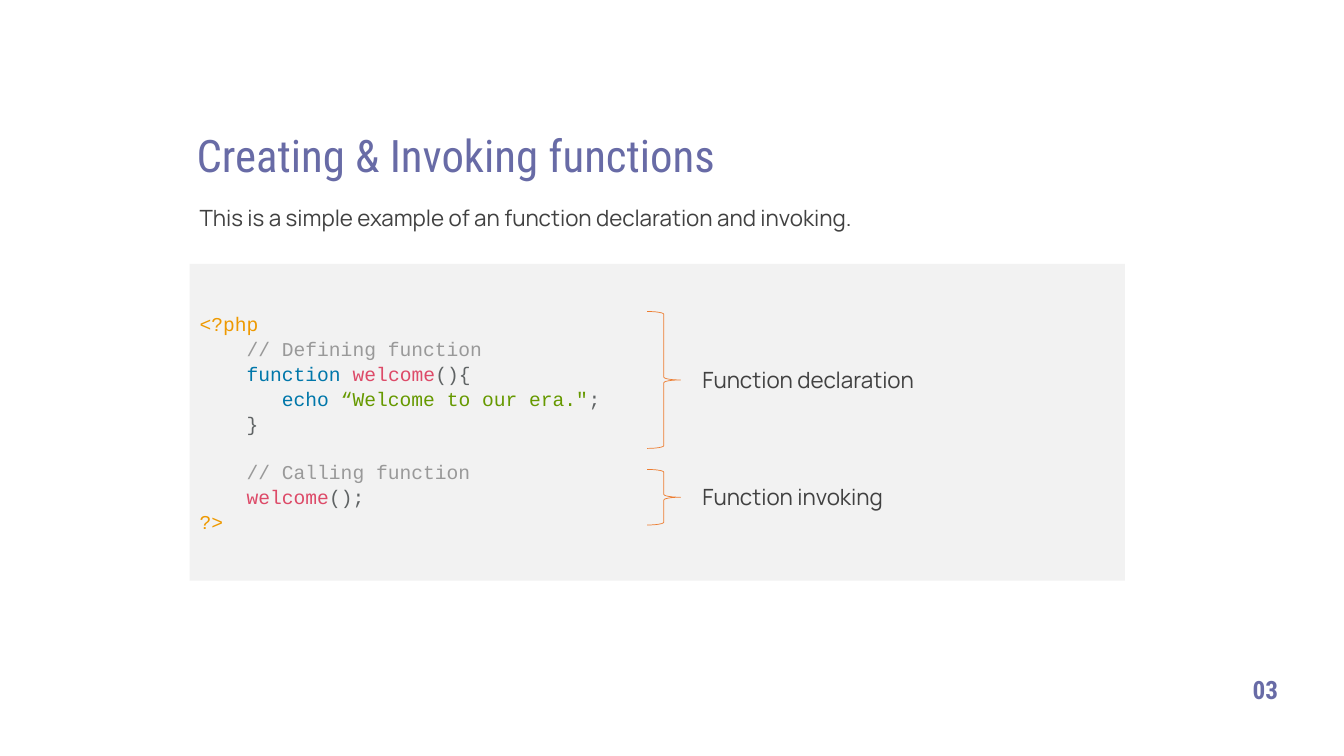
from dataclasses import dataclass

from pptx import Presentation
from pptx.dml.color import RGBColor
from pptx.enum.shapes import MSO_SHAPE as Shape
from pptx.enum.text import MSO_ANCHOR as Anchor, MSO_AUTO_SIZE as AutoSize, PP_ALIGN as Align
from pptx.util import Cm, Pt


@dataclass(frozen=True)
class Theme:
    """Colours, fonts and type sizes of the slide."""
    accent: str = "686BA6"
    body: str = "414141"
    panel: str = "F2F2F2"
    brace: str = "ED7D31"
    tag: str = "EE9900"
    comment: str = "999999"
    keyword: str = "0077AA"
    name: str = "DD4A68"
    string: str = "669900"
    mark: str = "5F6364"
    heading_font: str = "Roboto Condensed"
    body_font: str = "Manrope"
    code_font: str = "Courier New"
    title_size: int = 32
    number_size: int = 18
    body_size: int = 16
    code_size: int = 14


THEME = Theme()
CODE_LINE_SPACING = 1.06
CODE_LINE_HEIGHT = Pt(16.8)
CODE_CHARACTER_WIDTH = Pt(8.4)

# Each line: indent in characters, blank lines before it, coloured pieces.
CODE = [
    (0, 0, [("<?php", THEME.tag)]),
    (4, 0, [("// Defining function", THEME.comment)]),
    (4, 0, [("function ", THEME.keyword), ("welcome", THEME.name), ("(){", THEME.mark)]),
    (7, 0, [("echo ", THEME.keyword), ("“Welcome to our era.\"", THEME.string),
            (";", THEME.mark)]),
    (4, 0, [("}", THEME.mark)]),
    (4, 1, [("// Calling function", THEME.comment)]),
    (4, 0, [("welcome", THEME.name), ("();", THEME.mark)]),
    (0, 0, [("?>", THEME.tag)]),
]

# Each note: text, top and height of its brace in centimetres.
NOTES = [("Function declaration", 7.85, 3.45), ("Function invoking", 11.83, 1.4)]


def add_run(paragraph, text, font=THEME.body_font, size=THEME.body_size,
            color=THEME.body, bold=False):
    """Append formatted text to a paragraph."""
    run = paragraph.add_run()
    run.text = text
    run.font.name = font
    run.font.size = Pt(size)
    run.font.bold = bold
    run.font.color.rgb = RGBColor.from_string(color)


def place(shape, left, top, width, height):
    """Position a shape, in centimetres."""
    shape.left, shape.top, shape.width, shape.height = map(Cm, (left, top, width, height))


def add_title(slide, text, *box):
    """Fill and format the title placeholder."""
    title = slide.shapes.title
    place(title, *box)
    frame = title.text_frame
    frame.word_wrap = True
    frame.auto_size = AutoSize.SHAPE_TO_FIT_TEXT
    frame.vertical_anchor = Anchor.TOP
    paragraph = frame.paragraphs[0]
    paragraph.alignment = Align.LEFT
    add_run(paragraph, text, font=THEME.heading_font, size=THEME.title_size,
            color=THEME.accent)


def add_text(slide, text, *box, **text_format):
    """Add a one-paragraph text box."""
    frame = slide.shapes.add_textbox(*map(Cm, box)).text_frame
    frame.word_wrap = True
    frame.auto_size = AutoSize.SHAPE_TO_FIT_TEXT
    add_run(frame.paragraphs[0], text, **text_format)


def add_code_panel(slide, lines, *box):
    """Add a filled panel holding syntax-coloured code."""
    panel = slide.shapes.add_shape(Shape.RECTANGLE, *map(Cm, box))
    panel.shadow.inherit = False
    panel.fill.solid()
    panel.fill.fore_color.rgb = RGBColor.from_string(THEME.panel)
    panel.line.fill.background()
    frame = panel.text_frame
    frame.word_wrap = True
    frame.vertical_anchor = Anchor.MIDDLE
    for index, (indent, blank_lines, pieces) in enumerate(lines):
        paragraph = frame.add_paragraph() if index else frame.paragraphs[0]
        paragraph.alignment = Align.LEFT
        paragraph.line_spacing = CODE_LINE_SPACING
        paragraph.space_before = blank_lines * CODE_LINE_HEIGHT
        properties = paragraph._p.get_or_add_pPr()
        properties.set("marL", str(indent * CODE_CHARACTER_WIDTH))
        for text, color in pieces:
            add_run(paragraph, text, font=THEME.code_font, size=THEME.code_size,
                    color=color)


def add_brace_note(slide, text, top, height):
    """Add a right brace with a note centred on its point."""
    brace = slide.shapes.add_shape(Shape.RIGHT_BRACE, *map(Cm, (16.31, top, 0.84, height)))
    brace.shadow.inherit = False
    brace.fill.background()
    brace.line.color.rgb = RGBColor.from_string(THEME.brace)
    brace.line.width = Pt(0.5)
    note_height = 0.94
    add_text(slide, text, 17.45, top + (height - note_height) / 2, 6.02, note_height)


def main():
    """Build the slide and save it."""
    presentation = Presentation()
    presentation.slide_width, presentation.slide_height = Cm(33.87), Cm(19.05)
    slide = presentation.slides.add_slide(presentation.slide_layouts[5])
    add_title(slide, "Creating & Invoking functions", 4.7, 3.1, 17.32, 1.63)
    add_text(slide, "This is a simple example of an function declaration and invoking.",
             4.78, 5.03, 23.57, 0.94)
    add_text(slide, "03", 31.32, 16.87, 1.22, 1.02, font=THEME.heading_font,
             size=THEME.number_size, color=THEME.accent, bold=True)
    add_code_panel(slide, CODE, 4.78, 6.65, 23.57, 7.98)
    for note in NOTES:
        add_brace_note(slide, *note)
    presentation.save("out.pptx")


main()
